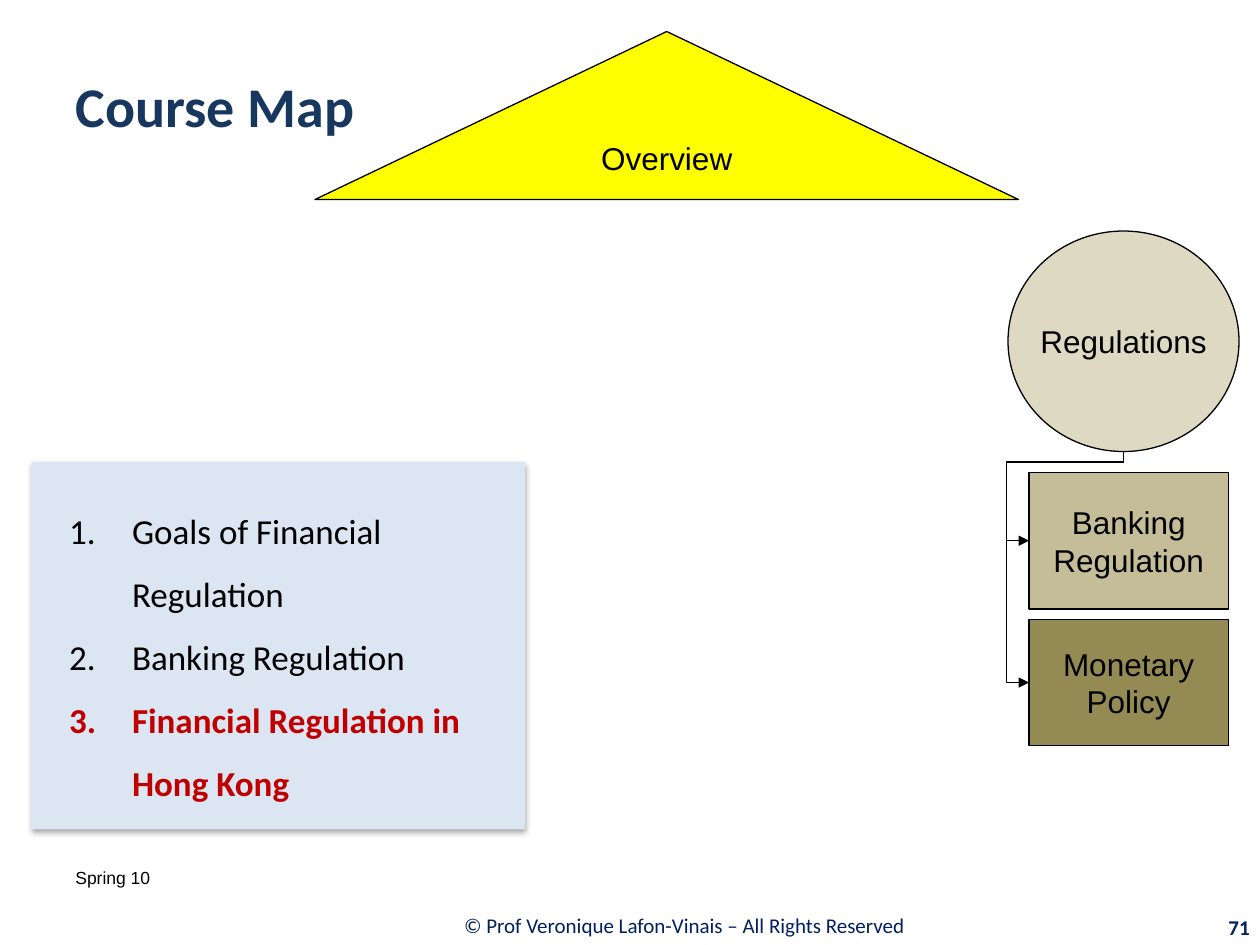
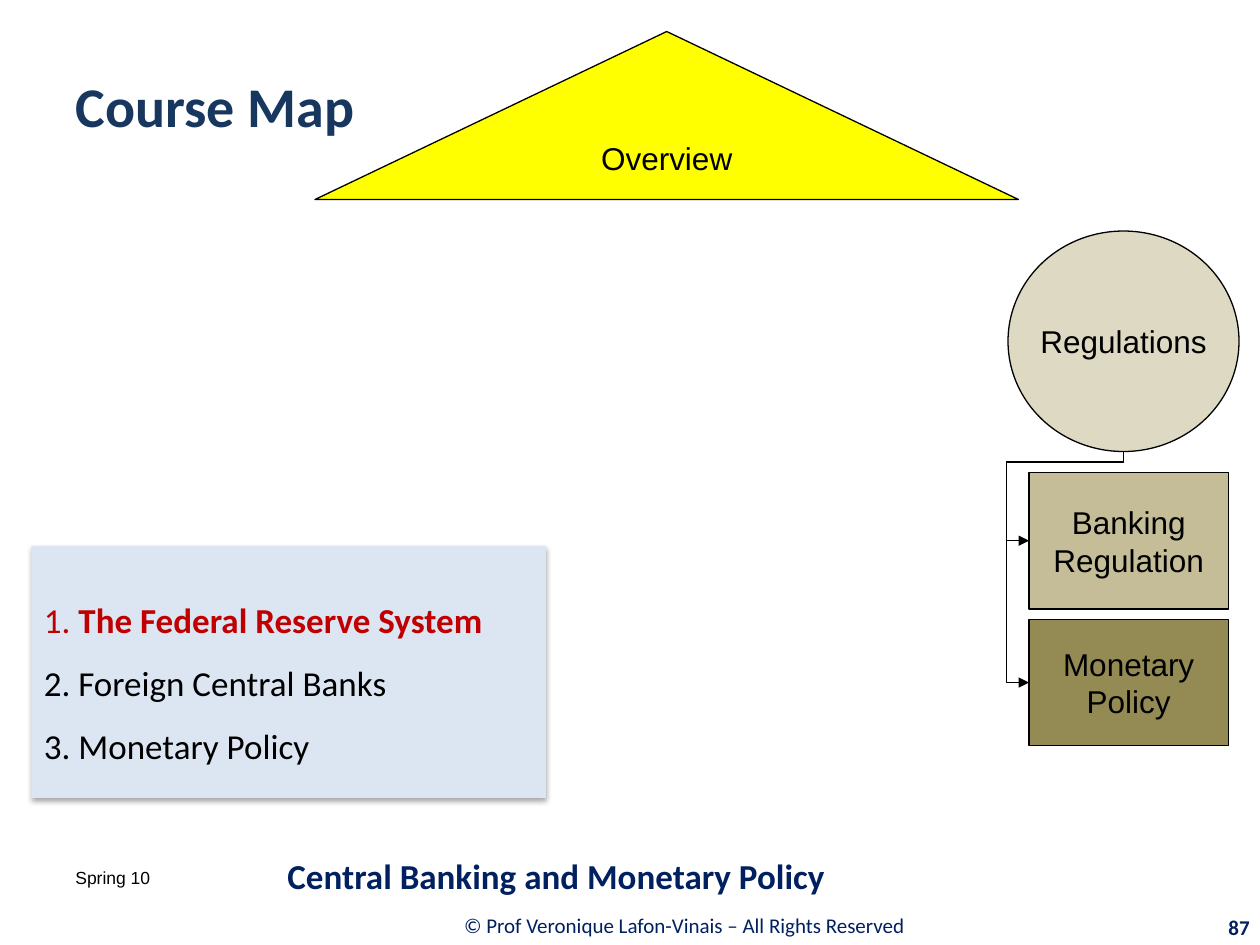
from lxml import etree
from pptx import Presentation
from pptx.dml.color import RGBColor
from pptx.enum.shapes import MSO_CONNECTOR, MSO_SHAPE
from pptx.enum.text import MSO_ANCHOR as ANCHOR, MSO_AUTO_SIZE, PP_ALIGN as ALIGN
from pptx.oxml.ns import qn
from pptx.util import Inches, Pt

BLACK = RGBColor(0x00, 0x00, 0x00)
NAVY = RGBColor(0x00, 0x20, 0x60)
TITLE_BLUE = RGBColor(0x17, 0x37, 0x5E)
PANEL_BLUE = RGBColor(0xDC, 0xE6, 0xF2)
RED = RGBColor(0xC0, 0x00, 0x00)
YELLOW = RGBColor(0xFF, 0xFF, 0x00)
SAND = RGBColor(0xDD, 0xD9, 0xC3)
TAN = RGBColor(0xC4, 0xBD, 0x97)
OLIVE = RGBColor(0x94, 0x8A, 0x54)

HEAD_FONT, LABEL_FONT = "Calibri", "Arial"
COLUMNS, ROWS = 120, 90
TITLE_ONLY = 5


class CourseMap:
    """Holds the deck's style and the slide being built; lengths are grid cells."""

    def __init__(self):
        self.deck = Presentation()
        self.deck.slide_width = Inches(10)
        self.deck.slide_height = Inches(7.5)
        self.column = self.deck.slide_width / COLUMNS
        self.row = self.deck.slide_height / ROWS
        self.slide = None

    def place(self, left, top, width, height):
        return (round(left * self.column), round(top * self.row),
                round(width * self.column), round(height * self.row))

    def add_span(self, para, text, size, color=BLACK, bold=False, font=HEAD_FONT):
        span = para.add_run()
        span.text = text
        span.font.name = font
        span.font.size = Pt(size)
        span.font.bold = bold
        span.font.color.rgb = color

    def new_slide(self, title, number):
        self.slide = self.deck.slides.add_slide(self.deck.slide_layouts[TITLE_ONLY])
        self.text("© Prof Veronique Lafon-Vinais – All Rights Reserved",
                  (26.3, 85.8, 77.8, 4.7), 12, NAVY, align=ALIGN.CENTER)
        self.text("Spring 10", (6, 82, 28, 6), 10, font=LABEL_FONT, anchor=ANCHOR.TOP)
        self.title(title, (6, 1.5, 31, 17))
        self.text(number, (108.1, 86.4, 12.1, 3.8), 12, NAVY, True, align=ALIGN.RIGHT)

    def title(self, text, area):
        box = self.slide.shapes.title
        box.left, box.top, box.width, box.height = self.place(*area)
        frame = box.text_frame
        frame.auto_size = MSO_AUTO_SIZE.NONE
        frame.vertical_anchor = ANCHOR.MIDDLE
        para = frame.paragraphs[0]
        para.alignment = ALIGN.LEFT
        self.add_span(para, text, 32, TITLE_BLUE, True)

    def text(self, text, area, size, color=BLACK, bold=False, font=HEAD_FONT,
             align=ALIGN.LEFT, anchor=ANCHOR.MIDDLE):
        frame = self.slide.shapes.add_textbox(*self.place(*area)).text_frame
        frame.word_wrap = True
        frame.vertical_anchor = anchor
        para = frame.paragraphs[0]
        para.alignment = align
        self.add_span(para, text, size, color, bold, font)

    def shape(self, kind, area, fill):
        box = self.slide.shapes.add_shape(kind, *self.place(*area))
        box.shadow.inherit = False
        box.fill.solid()
        box.fill.fore_color.rgb = fill
        box.text_frame.vertical_anchor = ANCHOR.MIDDLE
        return box

    def node(self, kind, text, area, fill, wrap=True):
        box = self.shape(kind, area, fill)
        box.line.color.rgb = BLACK
        box.line.width = Pt(0.75)
        box.text_frame.word_wrap = wrap
        para = box.text_frame.paragraphs[0]
        para.alignment = ALIGN.CENTER
        self.add_span(para, text, 18, font=LABEL_FONT)
        return box

    def topics(self, area, items, numbered=False):
        """Shadowed panel; each item is a list of (text, colour, bold) runs."""
        panel = self.shape(MSO_SHAPE.RECTANGLE, area, PANEL_BLUE)
        panel.line.fill.background()
        effects = panel._element.spPr.find(qn("a:effectLst"))
        shadow = etree.SubElement(effects, qn("a:outerShdw"), blurRad=str(Pt(3.1)),
                                  dist=str(Pt(1.8)), dir="5400000", rotWithShape="0")
        black = etree.SubElement(shadow, qn("a:srgbClr"), val=str(BLACK))
        etree.SubElement(black, qn("a:alpha"), val="35000")
        frame = panel.text_frame
        frame.word_wrap = True
        for index, spans in enumerate(items):
            para = frame.add_paragraph() if index else frame.paragraphs[0]
            para.alignment = ALIGN.LEFT
            para.line_spacing = 1.5
            if numbered:
                layout = para._p.get_or_add_pPr()
                layout.set("marL", str(Inches(0.7)))
                layout.set("indent", str(Inches(-0.5)))
                etree.SubElement(layout, qn("a:buFont"), typeface="+mj-lt")
                etree.SubElement(layout, qn("a:buAutoNum"), type="arabicPeriod")
            for text, color, bold in spans:
                self.add_span(para, text, 20, color, bold)

    def branch(self, parent, child):
        """Bent arrow from the parent's foot, round to the child's left side."""
        start_x, start_y = parent.left + parent.width // 2, parent.top + parent.height
        end_x, end_y = child.left, child.top + child.height // 2
        reach, drop = start_x - end_x, end_y - start_y
        # A quarter turn swaps the frame's width and height about its centre.
        left = (start_x + end_x - drop) // 2
        top = (start_y + end_y - reach) // 2
        arrow = self.slide.shapes.add_connector(
            MSO_CONNECTOR.ELBOW, left, top, left + drop, top + reach)
        arrow.line.color.rgb = BLACK
        arrow.line.width = Pt(0.75)
        properties = arrow._element.spPr
        properties.find(qn("a:xfrm")).set("rot", "5400000")
        geometry = properties.find(qn("a:prstGeom"))
        geometry.set("prst", "bentConnector4")
        guides = geometry.find(qn("a:avLst"))
        if guides is None:
            guides = etree.SubElement(geometry, qn("a:avLst"))
        shares = {"adj1": self.row / drop, "adj2": 1.24}
        for name, share in shares.items():
            etree.SubElement(guides, qn("a:gd"), name=name,
                             fmla=f"val {round(share * 100000)}")
        etree.SubElement(properties.find(qn("a:ln")), qn("a:tailEnd"), type="triangle")
        etree.SubElement(properties, qn("a:effectLst"))

    def diagram(self):
        regulations = self.node(MSO_SHAPE.OVAL, "Regulations", (96, 22, 22, 21), SAND, False)
        banking = self.node(MSO_SHAPE.RECTANGLE, "Banking Regulation", (98, 45, 19, 13), TAN)
        monetary = self.node(MSO_SHAPE.RECTANGLE, "Monetary Policy", (98, 59, 19, 12), OLIVE)
        for child in (banking, monetary):
            self.branch(regulations, child)
        self.node(MSO_SHAPE.FLOWCHART_EXTRACT, "Overview", (30, 3, 67, 16), YELLOW, False)


def main():
    course = CourseMap()

    course.new_slide("Course Map", "71")
    course.topics((3, 44, 47, 35), [
        [("Goals of Financial Regulation", BLACK, False)],
        [("Banking Regulation", BLACK, False)],
        [("Financial Regulation in Hong Kong", RED, True)],
    ], numbered=True)
    course.diagram()

    course.new_slide("Course Map", "87")
    course.topics((3, 52, 49, 24), [
        [("1. ", RED, False), ("The Federal Reserve System", RED, True)],
        [("2. Foreign Central Banks", BLACK, False)],
        [("3. Monetary Policy", BLACK, False)],
    ])
    course.text("Central Banking and Monetary Policy", (26.2, 80.6, 93.8, 5.6),
                20, NAVY, True)
    course.diagram()

    course.deck.save("out.pptx")


if __name__ == "__main__":
    main()
